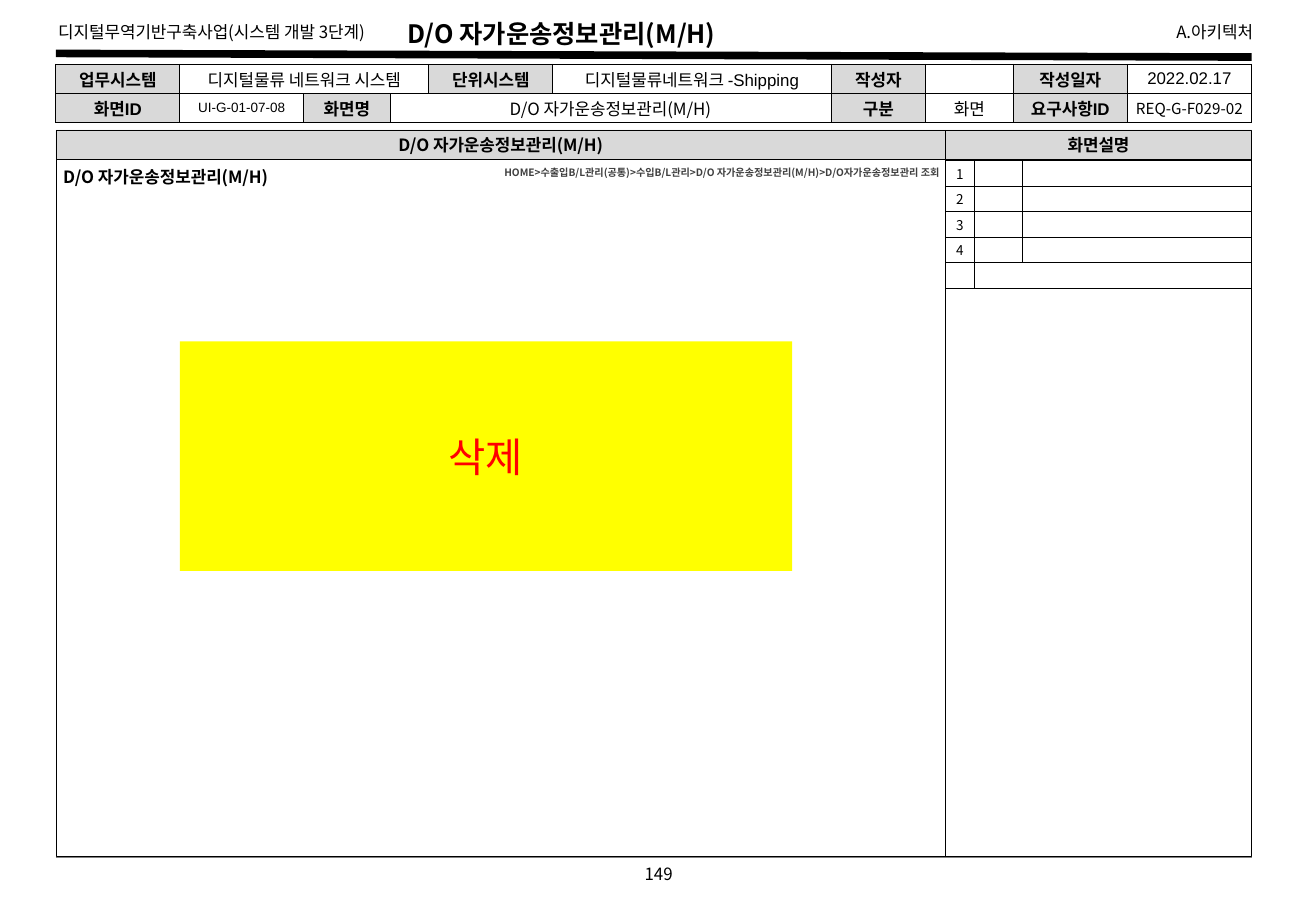
from lxml.etree import SubElement
from pptx import Presentation
from pptx.dml.color import RGBColor
from pptx.enum.shapes import MSO_CONNECTOR, MSO_SHAPE
from pptx.enum.text import MSO_ANCHOR, PP_ALIGN
from pptx.oxml.ns import qn
from pptx.util import Inches, Pt

COLORS = {
    "ink": "000000",
    "label": "D9D9D9",
    "footer": "808080",
    "path": "404040",
    "notice": "FFFF00",
    "alert": "FF0000",
}
KOREAN = "Noto Sans CJK KR"
LATIN = "Arial"
SCREEN_NAME = "D/O 자가운송정보관리(M/H)"

LEFT, SPLIT, RIGHT = 0.46, 7.78, 10.3
HEAD_TOP, BODY_TOP, BODY_BOTTOM = 1.07, 1.31, 7.05

INFO_COLUMNS = [1.02, 1.02, 0.71, 0.32, 1.02, 2.29, 0.78, 0.72, 0.94, 1.02]
INFO_ROWS = [
    ["업무시스템", "디지털물류 네트워크 시스템", "", "", "단위시스템",
     "디지털물류네트워크 -Shipping", "작성자", "", "작성일자", "2022.02.17"],
    ["화면ID", "UI-G-01-07-08", "화면명", SCREEN_NAME, "", "",
     "구분", "화면", "요구사항ID", "REQ-G-F029-02"],
]
INFO_LABELS = {"업무시스템", "단위시스템", "작성자", "작성일자",
               "화면ID", "화면명", "구분", "요구사항ID"}
INFO_FONTS = {
    "UI-G-01-07-08": (8, LATIN),
    SCREEN_NAME: (10, KOREAN),
    "REQ-G-F029-02": (9, KOREAN),
}
NOTE_COLUMNS = [0.24, 0.39, 1.89]
NOTE_ROWS = [["1", "", ""], ["2", "", ""], ["3", "", ""], ["4", "", ""], ["", "", ""]]


def rgb(name):
    """Return the named colour."""
    return RGBColor.from_string(COLORS[name])


def write(frame, text, size, color="ink", bold=False, align=PP_ALIGN.CENTER, face=KOREAN):
    """Write one styled paragraph into a text frame."""
    frame.word_wrap = True
    line = frame.paragraphs[0]
    line.text = text
    line.alignment = align
    line.font.size = Pt(size)
    line.font.bold = bold
    line.font.name = face
    line.font.color.rgb = rgb(color)
    east_asian = SubElement(line._p.pPr.find(qn("a:defRPr")), qn("a:ea"))
    east_asian.set("typeface", KOREAN)
    if not text:
        SubElement(line._p, qn("a:endParaRPr")).set("sz", str(size * 100))


def add_text(slide, box, text, size, inset=None, **style):
    """Add a text box, centred vertically when an inset is given."""
    frame = slide.shapes.add_textbox(*map(Inches, box)).text_frame
    if inset is not None:
        frame.vertical_anchor = MSO_ANCHOR.MIDDLE
        frame.margin_left = frame.margin_right = Inches(inset)
        frame.margin_top = frame.margin_bottom = Inches(inset)
    write(frame, text, size, **style)


def add_panel(slide, box, fill=None, outlined=True, text="", size=10, **style):
    """Add a rectangle with optional fill, outline and centred text."""
    panel = slide.shapes.add_shape(MSO_SHAPE.RECTANGLE, *map(Inches, box))
    panel.shadow.inherit = False
    if fill:
        panel.fill.solid()
        panel.fill.fore_color.rgb = rgb(fill)
    else:
        panel.fill.background()
    if outlined:
        panel.line.color.rgb = rgb("ink")
        panel.line.width = Pt(0.25)
    else:
        panel.line.fill.background()
    if text:
        panel.text_frame.vertical_anchor = MSO_ANCHOR.MIDDLE
        write(panel.text_frame, text, size, **style)


def add_rule(slide, start_y, end_y, color, width):
    """Add a rule across the page."""
    rule = slide.shapes.add_connector(
        MSO_CONNECTOR.STRAIGHT, *map(Inches, (LEFT, start_y, RIGHT, end_y)))
    rule.line.color.rgb = rgb(color)
    rule.line.width = Pt(width)
    SubElement(rule._element.spPr, qn("a:effectLst"))


def border_cell(cell, width):
    """Draw all four borders of a cell."""
    properties = cell._tc.get_or_add_tcPr()
    for side in ("lnL", "lnR", "lnT", "lnB"):
        border = SubElement(properties, qn(f"a:{side}"), w=str(Pt(width)))
        solid = SubElement(border, qn("a:solidFill"))
        SubElement(solid, qn("a:srgbClr"), val=COLORS["ink"])


def add_grid(slide, left, top, columns, row_height, rows, merges, border, insets,
             size, face, labels=(), fonts=None):
    """Add a bordered table with shaded label cells."""
    grid = slide.shapes.add_table(
        len(rows), len(columns), Inches(left), Inches(top),
        Inches(sum(columns)), Inches(row_height * len(rows))).table
    grid.first_row = grid.horz_banding = False
    for column, width in zip(grid.columns, columns):
        column.width = Inches(width)
    for row, texts in zip(grid.rows, rows):
        row.height = Inches(row_height)
        for cell, text in zip(row.cells, texts):
            is_label = text in labels
            cell.margin_left = cell.margin_right = Inches(insets[0])
            cell.margin_top = cell.margin_bottom = Inches(insets[1])
            cell.vertical_anchor = MSO_ANCHOR.MIDDLE
            border_cell(cell, border)
            if is_label:
                cell.fill.solid()
                cell.fill.fore_color.rgb = rgb("label")
            else:
                cell.fill.background()
            text_size, text_face = (fonts or {}).get(text, (size, face))
            write(cell.text_frame, text, text_size, bold=is_label, face=text_face)
    for row, first, last in merges:
        grid.cell(row, first).merge(grid.cell(row, last))


def add_page_frame(slide):
    """Add the running header, page rules and page number."""
    add_rule(slide, 7.06, 7.06, "footer", 0.75)
    add_text(slide, (3.45, 7.06, 3.94, 0.27), "149", 10)
    add_rule(slide, 0.44, 0.47, "ink", 4.5)
    add_text(slide, (8.91, 0.13, 1.5, 0.27), "A.아키텍처", 10, align=PP_ALIGN.RIGHT)
    add_text(slide, (0.38, 0.13, 3.01, 0.27),
             "디지털무역기반구축사업(시스템 개발 3단계)", 10, align=PP_ALIGN.LEFT)
    add_text(slide, (0.31, 0.1, 8.62, 0.43), SCREEN_NAME, 15, bold=True)


def main():
    """Build the screen definition slide."""
    deck = Presentation()
    deck.slide_width, deck.slide_height = Inches(10.83), Inches(7.5)
    slide = deck.slides.add_slide(deck.slide_layouts[6])
    add_page_frame(slide)

    for left, right, heading in ((LEFT, SPLIT, SCREEN_NAME), (SPLIT, RIGHT, "화면설명")):
        width = right - left
        add_panel(slide, (left, BODY_TOP, width, BODY_BOTTOM - BODY_TOP))
        add_panel(slide, (left, HEAD_TOP, width, BODY_TOP - HEAD_TOP),
                  fill="label", text=heading, bold=True)

    add_grid(slide, SPLIT, 1.32, NOTE_COLUMNS, 0.21, NOTE_ROWS, [(4, 1, 2)],
             0.25, (0.04, 0.02), 8, KOREAN)
    add_grid(slide, LEFT, 0.53, INFO_COLUMNS, 0.24, INFO_ROWS, [(0, 1, 3), (1, 3, 5)],
             0.5, (0.05, 0), 10, LATIN, INFO_LABELS, INFO_FONTS)

    add_text(slide, (1.79, 1.32, 5.98, 0.2),
             "HOME>수출입B/L관리(공통)>수입B/L관리>D/O 자가운송정보관리(M/H)>D/O자가운송정보관리 조회",
             6, inset=0.04, color="path", bold=True, align=PP_ALIGN.RIGHT)
    add_text(slide, (0.48, 1.31, 2.85, 0.29), SCREEN_NAME, 10, inset=0.04,
             bold=True, align=PP_ALIGN.LEFT)
    add_panel(slide, (1.48, 2.81, 5.04, 1.89), fill="notice", outlined=False,
              text="삭제", size=24, color="alert")
    deck.save("out.pptx")


if __name__ == "__main__":
    main()
